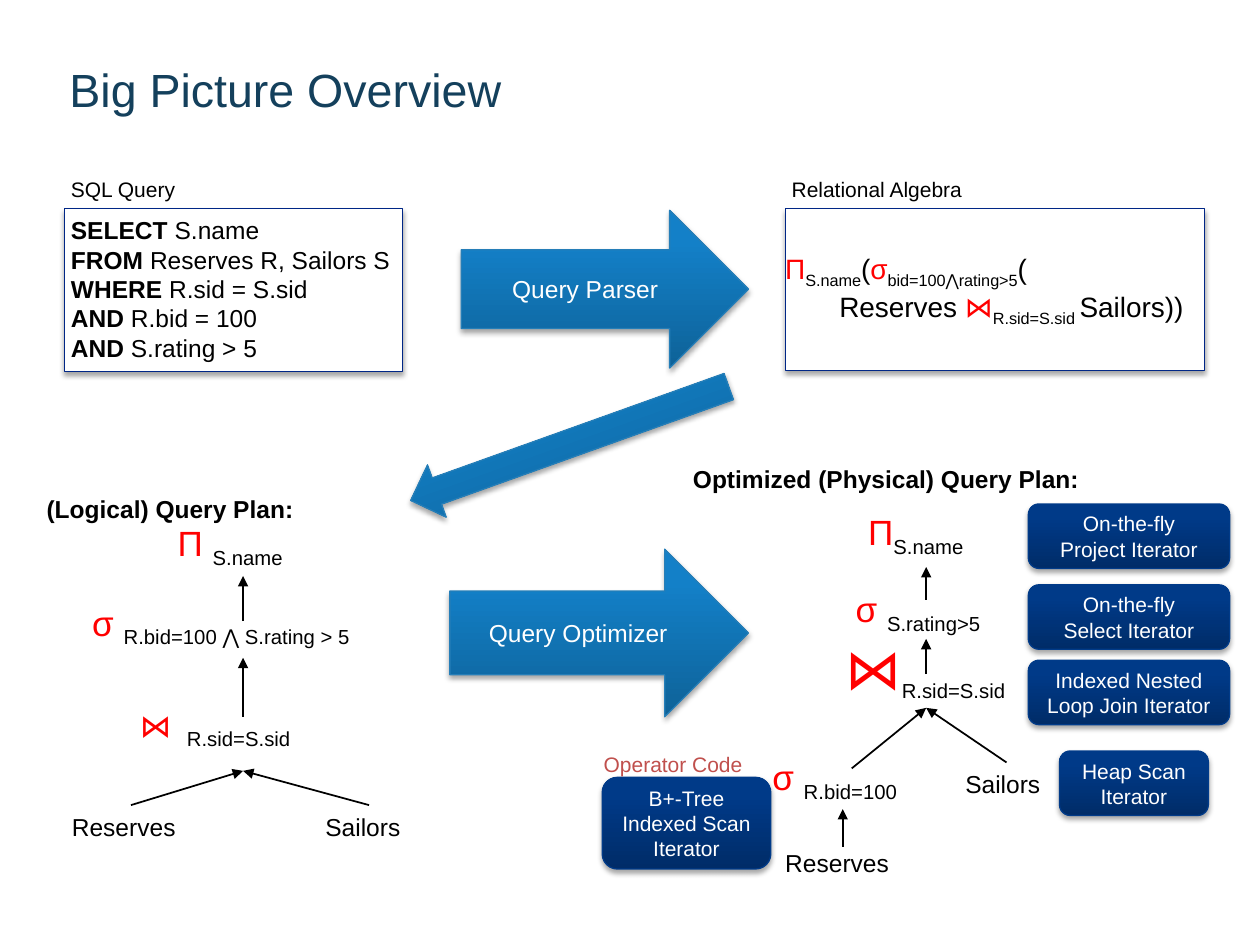
"""Build the query processing overview slide."""
import pptx
import pptx.dml.color
import pptx.enum.shapes
import pptx.enum.text
import pptx.oxml
import pptx.oxml.ns
import pptx.util
from lxml import etree

Cm = pptx.util.Cm
Pt = pptx.util.Pt
qn = pptx.oxml.ns.qn
rgb = pptx.dml.color.RGBColor.from_string
MSO = pptx.enum.shapes.MSO_SHAPE
ANCHOR = pptx.enum.text.MSO_ANCHOR
ALIGN = pptx.enum.text.PP_ALIGN
FIT = pptx.enum.text.MSO_AUTO_SIZE

BLACK, WHITE, RED = "000000", "FFFFFF", "FF0000"
SKY = ("0E6298", "1380C8", "257EB8")
NAVY = ("002C68", "003A88", "013B89")
PAPER = (WHITE, WHITE, "002686")


def write(sp, lines, size, color=BLACK, align=ALIGN.LEFT, anchor=ANCHOR.TOP, wrap=True):
    """Fill a shape with lines of (text, style, optional size) runs."""
    tf = sp.text_frame
    tf.word_wrap = wrap
    tf.auto_size = FIT.NONE if wrap else FIT.SHAPE_TO_FIT_TEXT
    tf.vertical_anchor = anchor
    tf.margin_left = tf.margin_right = tf.margin_top = tf.margin_bottom = Cm(0.13)
    for i, line in enumerate(lines):
        p = tf.paragraphs[0] if i == 0 else tf.add_paragraph()
        p.alignment = align
        for text, style, *own in line:
            r = p.add_run()
            r.text = text
            r.font.name = "Arial"
            r.font.size = Pt(own[0] if own else size)
            r.font.bold = style == "bold"
            r.font.color.rgb = rgb(RED if style == "red" else color)
            if style == "sub":
                r.font._element.set("baseline", "-25000")


def block(kind, x, y, w, h, colors):
    """Add a shape with a vertical gradient and a soft shadow below."""
    sp = s.shapes.add_shape(kind, Cm(x), Cm(y), Cm(w), Cm(h))
    bottom, top, line = colors
    if bottom == top:
        sp.fill.solid()
        sp.fill.fore_color.rgb = rgb(top)
    else:
        sp.fill.gradient()
        sp.fill.gradient_angle = 90
        for stop, color, position in zip(sp.fill.gradient_stops, (bottom, top), (0, 0.8)):
            stop.color.rgb = rgb(color)
            stop.position = position
    sp.line.color.rgb = rgb(line)
    sp.line.width = Pt(0.75)
    sp.shadow.inherit = False
    shadow = etree.SubElement(sp._element.spPr.find(qn("a:effectLst")), qn("a:outerShdw"),
                              blurRad="38100", dist="22860", dir="5400000", rotWithShape="0")
    shade = etree.SubElement(shadow, qn("a:srgbClr"), val=BLACK)
    etree.SubElement(shade, qn("a:alpha"), val="35000")
    return sp


prs = pptx.Presentation()
prs.slide_width, prs.slide_height = Cm(25.4), Cm(19.05)
s = prs.slides.add_slide(prs.slide_layouts[5])

title = s.shapes.title
title.left, title.top, title.width, title.height = Cm(1.27), Cm(1.07), Cm(22.86), Cm(1.45)
write(title, [[("Big Picture Overview", "")]], 26.6, "14405C", anchor=ANCHOR.MIDDLE)

sql = block(MSO.RECTANGLE, 1.3, 4.21, 6.81, 3.28, PAPER)
clauses = [("SELECT", "S.name"), ("FROM", "Reserves R, Sailors S"), ("WHERE", "R.sid = S.sid"),
           ("AND", "R.bid = 100"), ("AND", "S.rating > 5")]
write(sql, [[(word, "bold"), (" " + rest, "")] for word, rest in clauses], 14)

algebra = block(MSO.RECTANGLE, 15.83, 4.21, 8.46, 3.26, PAPER)
write(algebra, [
    [("Π", "red"), ("S.name", "sub"), ("(", ""), ("σ", "red"), ("bid=100⋀rating>5", "sub"), ("(", "")],
    [("Reserves ", ""), ("⋈", "red"), ("R.sid=S.sid ", "sub"), ("Sailors))", "")],
], 16, anchor=ANCHOR.MIDDLE)
algebra.text_frame.margin_left = algebra.text_frame.margin_right = 0
algebra.text_frame.paragraphs[1]._p.get_or_add_pPr().set("marL", str(Cm(1.09)))

back = block(MSO.LEFT_ARROW, 8.08, 8.38, 6.81, 1.12, SKY)
back.rotation = 340.3

steps = [
    (MSO.RIGHT_ARROW, 9.3, 4.24, 5.79, 3.18, SKY, 14, ["Query Parser"]),
    (MSO.RIGHT_ARROW, 9.07, 11.07, 6.02, 3.38, SKY, 14, ["Query Optimizer"]),
    (MSO.ROUNDED_RECTANGLE, 20.73, 10.16, 4.06, 1.3, NAVY, 12, ["On-the-fly", "Project Iterator"]),
    (MSO.ROUNDED_RECTANGLE, 20.73, 11.79, 4.06, 1.3, NAVY, 12, ["On-the-fly", "Select Iterator"]),
    (MSO.ROUNDED_RECTANGLE, 20.73, 13.31, 4.06, 1.3, NAVY, 12, ["Indexed Nested Loop Join Iterator"]),
    (MSO.ROUNDED_RECTANGLE, 21.36, 15.14, 3, 1.3, NAVY, 12, ["Heap Scan Iterator"]),
    (MSO.ROUNDED_RECTANGLE, 12.14, 15.67, 3.4, 1.85, NAVY, 12, ["B+-Tree", "Indexed Scan Iterator"]),
]
for kind, x, y, w, h, colors, size, lines in steps:
    sp = block(kind, x, y, w, h, colors)
    write(sp, [[(line, "")] for line in lines], size, WHITE, ALIGN.CENTER, ANCHOR.MIDDLE)

captions = [
    (1.3, 3.43, BLACK, "SQL Query"),
    (15.83, 3.43, BLACK, "Relational Algebra"),
    (12.04, 15.03, "C0504D", "Operator Code"),
]
for x, y, color, text in captions:
    sp = s.shapes.add_textbox(Cm(x), Cm(y), Cm(4.32), Cm(0.74))
    write(sp, [[(text, "")]], 12, color)

labels = [
    (0.81, 9.83, 5.26, 0.81, 14, [("(Logical) Query Plan:", "bold")]),
    (3.45, 10.39, 2.62, 1.17, 20, [("Π ", "red"), ("S.name", "sub")]),
    (1.73, 11.99, 6.07, 1.17, 20, [("σ ", "red"), ("R.bid=100 ⋀ S.rating > 5", "sub")]),
    (2.69, 13.61, 3.48, 1.57, 20, [("⋈", "red", 18), (" ", "red", 32), ("R.sid=S.sid", "sub")]),
    (1.32, 16.23, 2.39, 0.81, 14, [("Reserves", "")]),
    (6.43, 16.23, 1.8, 0.81, 14, [("Sailors", "")]),
    (13.84, 9.22, 8.05, 0.81, 14, [("Optimized (Physical) Query Plan:", "bold")]),
    (17.37, 10.16, 2.41, 1.17, 20, [("Π", "red"), ("S.name", "sub")]),
    (17.12, 11.71, 3.07, 1.17, 20, [("σ ", "red"), ("S.rating>5", "sub")]),
    (16.92, 12.65, 3.56, 1.3, 20, [("⋈", "red", 32), ("R.sid=S.sid", "sub")]),
    (15.44, 15.11, 3.07, 1.17, 20, [("σ ", "red"), ("R.bid=100", "sub")]),
    (15.7, 16.97, 2.39, 0.81, 14, [("Reserves", "")]),
    (19.33, 15.37, 1.8, 0.81, 14, [("Sailors", "")]),
]
for x, y, w, h, size, runs in labels:
    sp = s.shapes.add_textbox(Cm(x), Cm(y), Cm(w), Cm(h))
    write(sp, [runs], size, wrap=False)

edges = [
    (2.64, 16.23, 4.9, 15.54), (7.44, 16.23, 4.9, 15.54),
    (4.9, 14.45, 4.9, 13.26), (4.9, 12.52, 4.9, 11.61),
    (17.17, 15.49, 18.67, 14.27), (20.29, 15.37, 18.67, 14.27),
    (18.67, 13.59, 18.67, 12.88), (18.67, 12.09, 18.67, 11.43),
    (16.99, 17.07, 16.99, 16.31),
]
for edge in edges:
    c = s.shapes.add_connector(pptx.enum.shapes.MSO_CONNECTOR.STRAIGHT, *map(Cm, edge))
    c.line.color.rgb = rgb(BLACK)
    c.line.width = Pt(1)
    etree.SubElement(c.line._get_or_add_ln(), qn("a:tailEnd"), type="triangle")
    etree.SubElement(c._element.spPr, qn("a:effectLst"))

prs.save("out.pptx")
